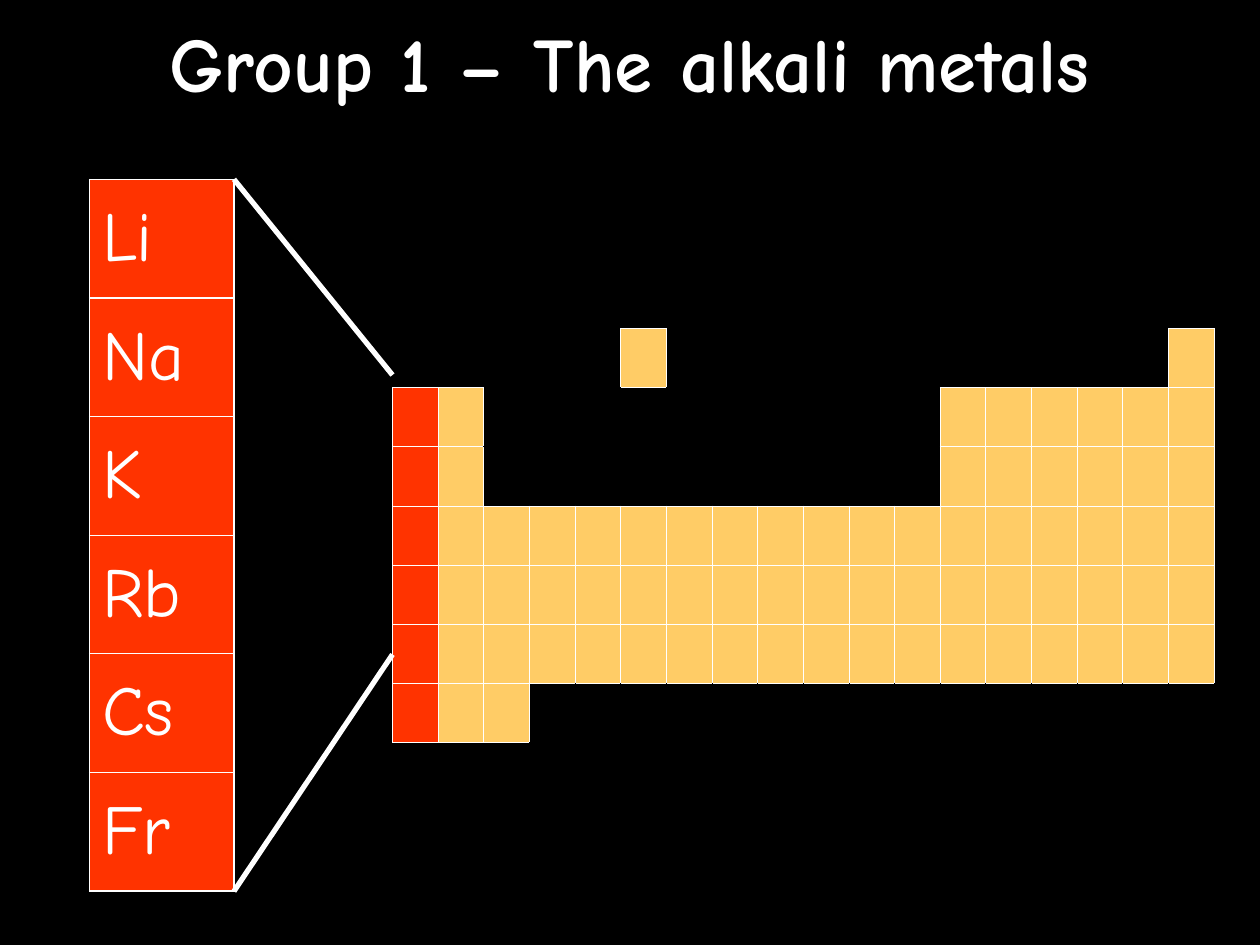
from dataclasses import dataclass

from lxml import etree
from pptx import Presentation
from pptx.dml.color import RGBColor
from pptx.enum.shapes import MSO_CONNECTOR
from pptx.enum.text import MSO_ANCHOR, MSO_AUTO_SIZE, PP_ALIGN
from pptx.oxml.ns import qn
from pptx.util import Pt

STRAIGHT = MSO_CONNECTOR.STRAIGHT
MIDDLE = MSO_ANCHOR.MIDDLE
NO_FIT = MSO_AUTO_SIZE.NONE
LEFT, CENTER = PP_ALIGN.LEFT, PP_ALIGN.CENTER

FONT = "Comic Neue"
COLORS = {"black": "000000", "white": "FFFFFF", "red": "FF3300", "gold": "FFCC66"}

# One letter per cell: R is group 1, G any other element, a dot is empty
PERIODIC = [
    "." * 5 + "G" + "." * 11 + "G",
    "RG" + "." * 10 + "G" * 6,
    "RG" + "." * 10 + "G" * 6,
    "R" + "G" * 17,
    "R" + "G" * 17,
    "R" + "G" * 17,
    "RGG" + "." * 15,
]
FILLS = {"R": "red", "G": "gold", ".": "black"}
ALKALI_METALS = ["Li", "Na", "K", "Rb", "Cs", "Fr"]


@dataclass
class Grid:
    left: float
    top: float
    col_width: float
    row_height: float
    border: float


@dataclass
class Line:
    x1: float
    y1: float
    x2: float
    y2: float


def rgb(name: str) -> RGBColor:
    return RGBColor.from_string(COLORS[name])


def write(tf, text: str, *, size: float, bold: bool = False, align=LEFT) -> None:
    p = tf.paragraphs[0]
    p.alignment = align
    r = p.add_run()
    r.text = text
    r.font.name = FONT
    r.font.size = Pt(size)
    r.font.bold = bold
    r.font.color.rgb = rgb("white")


def add_border(cell, side: str, color: str, width: float) -> None:
    tc_pr = cell._tc.get_or_add_tcPr()
    ln = etree.SubElement(tc_pr, qn(f"a:ln{side}"), w=str(Pt(width)))
    fill = etree.SubElement(ln, qn("a:solidFill"))
    etree.SubElement(fill, qn("a:srgbClr"), val=COLORS[color])


def add_grid(slide, grid: Grid, pattern: list[str]):
    """Draw a table whose borders are white wherever they touch an element."""
    n_rows, n_cols = len(pattern), len(pattern[0])
    frame = slide.shapes.add_table(
        n_rows, n_cols, Pt(grid.left), Pt(grid.top),
        Pt(grid.col_width * n_cols), Pt(grid.row_height * n_rows))
    table = frame.table
    table.first_row = table.horz_banding = False
    for col in table.columns:
        col.width = Pt(grid.col_width)
    for row in table.rows:
        row.height = Pt(grid.row_height)

    def is_element(row: int, col: int) -> bool:
        return 0 <= row < n_rows and 0 <= col < n_cols and pattern[row][col] != "."

    for i, row in enumerate(pattern):
        for j, kind in enumerate(row):
            cell = table.cell(i, j)
            neighbours = {"L": (i, j - 1), "R": (i, j + 1),
                          "T": (i - 1, j), "B": (i + 1, j)}
            for side, place in neighbours.items():
                lit = is_element(i, j) or is_element(*place)
                add_border(cell, side, "white" if lit else "black", grid.border)
            cell.fill.solid()
            cell.fill.fore_color.rgb = rgb(FILLS[kind])
            cell.vertical_anchor = MIDDLE
    return table


def add_line(slide, line: Line) -> None:
    cxn = slide.shapes.add_connector(
        STRAIGHT, Pt(line.x1), Pt(line.y1), Pt(line.x2), Pt(line.y2))
    cxn.line.color.rgb = rgb("white")
    cxn.line.width = Pt(3)
    etree.SubElement(cxn._element.spPr, qn("a:effectLst"))


def main() -> None:
    prs = Presentation()
    prs.slide_width, prs.slide_height = Pt(720), Pt(540)
    s = prs.slides.add_slide(prs.slide_layouts[5])
    s.background.fill.solid()
    s.background.fill.fore_color.rgb = rgb("black")

    # Title
    title = s.shapes.title
    title.left, title.top, title.width, title.height = Pt(0), Pt(0), Pt(720), Pt(70)
    tf = title.text_frame
    tf.word_wrap = True
    tf.auto_size = NO_FIT
    tf.vertical_anchor = MIDDLE
    write(tf, "Group 1 – The alkali metals", size=44, bold=True, align=CENTER)

    # Periodic table outline
    periodic = Grid(224.3, 187.7, 26.1, 33.8, 0.45)
    add_grid(s, periodic, PERIODIC)

    # Enlarged group 1
    group = Grid(51.1, 102.5, 82.6, 67.8, 0.75)
    table = add_grid(s, group, ["R"] * len(ALKALI_METALS))
    for i, symbol in enumerate(ALKALI_METALS):
        write(table.cell(i, 0).text_frame, symbol, size=40)

    # Zoom lines
    right = group.left + group.col_width
    bottom = group.top + group.row_height * len(ALKALI_METALS)
    for line in (Line(periodic.left, 214.3, right, group.top),
                 Line(periodic.left, 374, right, bottom)):
        add_line(s, line)

    prs.save("out.pptx")


if __name__ == "__main__":
    main()
